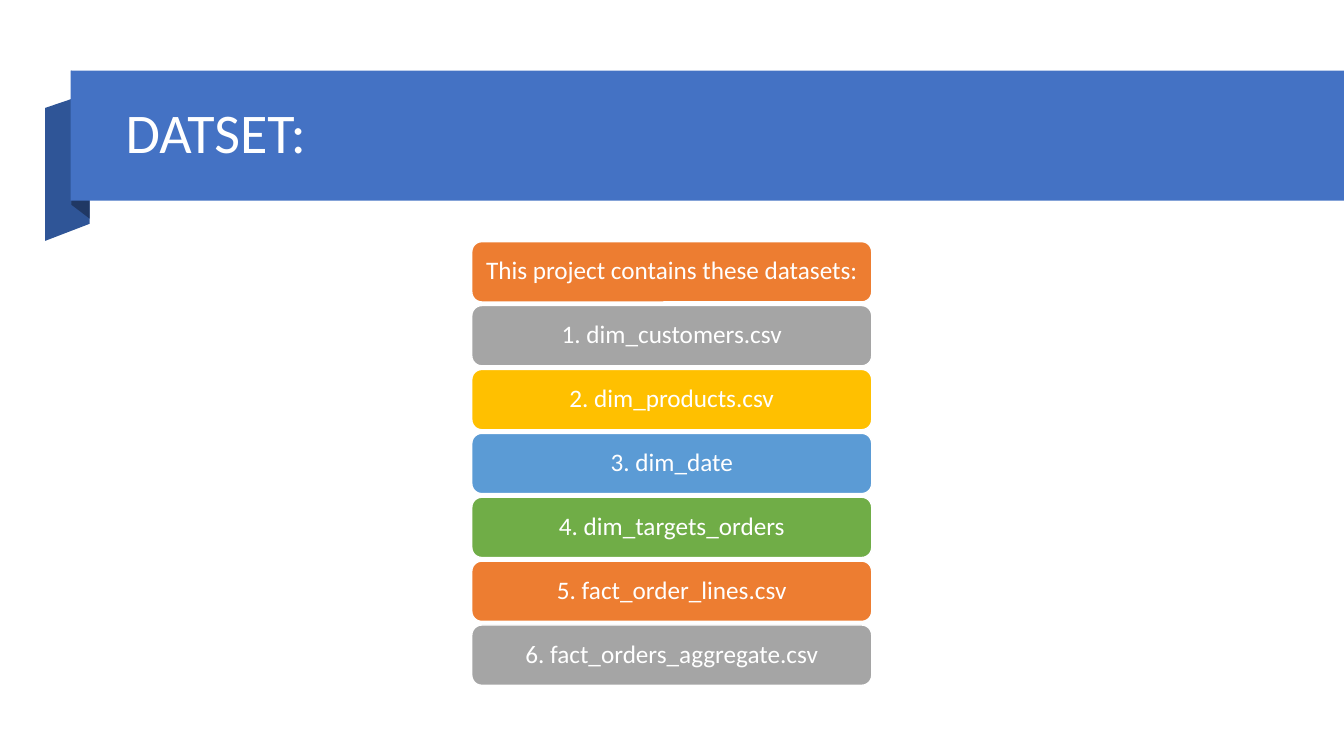
"""Builds the dataset slide: a ribbon title above a stack of coloured cards."""
from pptx import Presentation
from pptx.dml.color import RGBColor
from pptx.enum.shapes import MSO_SHAPE
from pptx.enum.text import MSO_ANCHOR, PP_ALIGN
from pptx.util import Cm, Pt

RECTANGLE, ROUNDED = MSO_SHAPE.RECTANGLE, MSO_SHAPE.ROUNDED_RECTANGLE
MIDDLE = MSO_ANCHOR.MIDDLE
LEFT, CENTER = PP_ALIGN.LEFT, PP_ALIGN.CENTER

WHITE = RGBColor(0xFF, 0xFF, 0xFF)
BLUE = RGBColor(0x44, 0x72, 0xC4)
DARK_BLUE = RGBColor(0x2F, 0x55, 0x97)
NAVY = RGBColor(0x20, 0x38, 0x64)
ORANGE = RGBColor(0xED, 0x7D, 0x31)
GRAY = RGBColor(0xA5, 0xA5, 0xA5)
GOLD = RGBColor(0xFF, 0xC0, 0x00)
SKY = RGBColor(0x5B, 0x9B, 0xD5)
GREEN = RGBColor(0x70, 0xAD, 0x47)
CARD_COLORS = [ORANGE, GRAY, GOLD, SKY, GREEN]

FOLDS = [
    (DARK_BLUE, [(2.26, 5.64), (1.14, 6.07), (1.14, 2.72), (2.26, 2.34)]),
    (NAVY, [(2.26, 5.51), (1.8, 5.16), (1.8, 1.78), (2.26, 2.16)]),
]
DATASETS = [
    "This project contains these datasets:",
    "1. dim_customers.csv",
    "2. dim_products.csv",
    "3. dim_date",
    "4. dim_targets_orders",
    "5. fact_order_lines.csv",
    "6. fact_orders_aggregate.csv",
]
CARD_LEFT, CARD_TOP, CARD_WIDTH, CARD_HEIGHT = 11.89, 6.09, 10.08, 1.52
CARD_PITCH = 1.61


def paint(shape, color):
    shape.shadow.inherit = False
    shape.fill.solid()
    shape.fill.fore_color.rgb = color
    shape.line.fill.background()


def write(shape, text, size, align, frame_format):
    tf = shape.text_frame
    for name, value in frame_format.items():
        setattr(tf, name, value)
    p = tf.paragraphs[0]
    p.alignment = align
    p.line_spacing = 0.9
    r = p.add_run()
    r.text = text
    r.font.name = "Calibri"
    r.font.size = Pt(size)
    r.font.color.rgb = WHITE


prs = Presentation()
prs.slide_width, prs.slide_height = Cm(33.87), Cm(19.05)
s = prs.slides.add_slide(prs.slide_layouts[6])

for color, points in FOLDS:
    corners = [(Cm(x), Cm(y)) for x, y in points]
    builder = s.shapes.build_freeform(*corners[0])
    builder.add_line_segments(corners[1:], close=True)
    paint(builder.convert_to_shape(), color)

ribbon = s.shapes.add_shape(RECTANGLE, Cm(1.78), Cm(1.78), Cm(32.09), Cm(3.28))
paint(ribbon, BLUE)

title = s.shapes.add_textbox(Cm(2.92), Cm(2.18), Cm(28.63), Cm(2.44))
write(title, "DATSET:", 40, LEFT, {"word_wrap": True, "vertical_anchor": MIDDLE})

card_format = {
    "word_wrap": True,
    "vertical_anchor": MIDDLE,
    "margin_left": Cm(0.25),
    "margin_right": Cm(0.25),
    "margin_top": Cm(0.17),
    "margin_bottom": Cm(0.17),
}
for i, dataset in enumerate(DATASETS):
    card = s.shapes.add_shape(ROUNDED, Cm(CARD_LEFT), Cm(CARD_TOP + i * CARD_PITCH),
                              Cm(CARD_WIDTH), Cm(CARD_HEIGHT))
    paint(card, CARD_COLORS[i % len(CARD_COLORS)])
    card.line.color.rgb = WHITE
    card.line.width = Pt(1)
    write(card, dataset, 18, CENTER, card_format)

prs.save("out.pptx")
